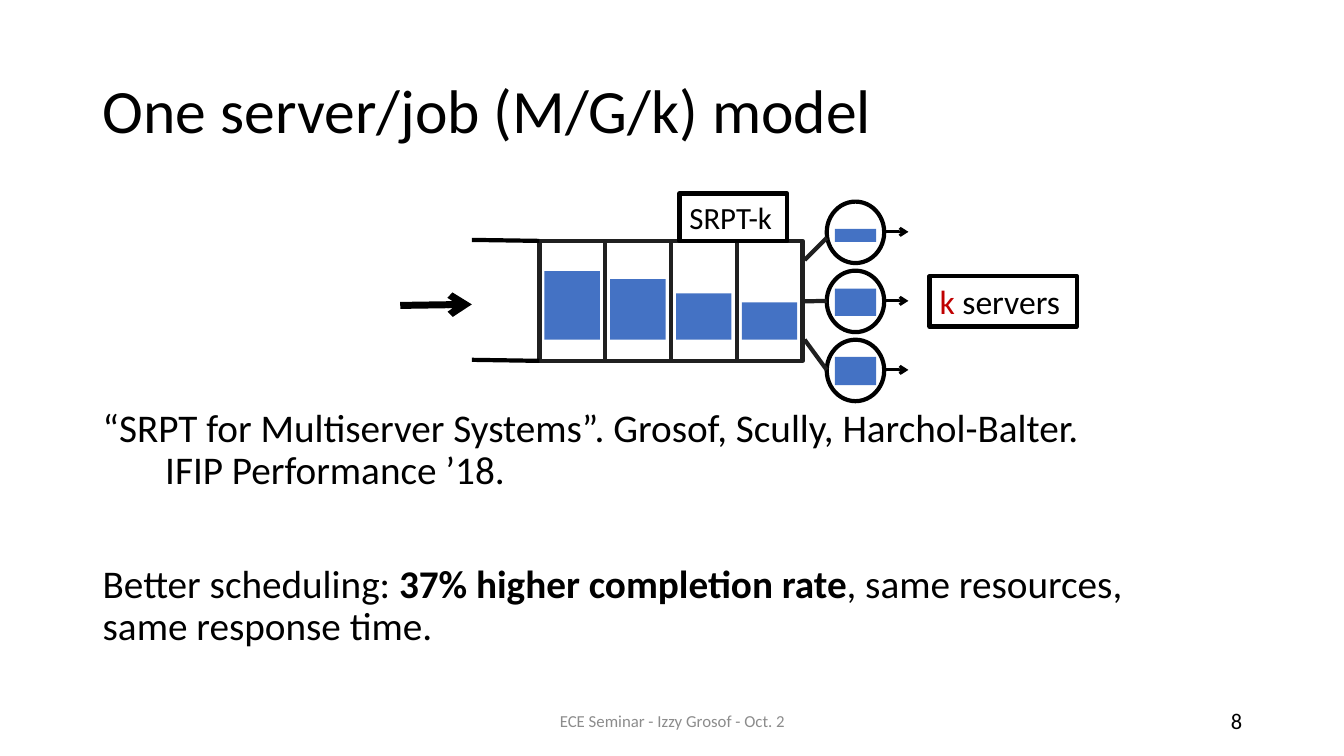
from lxml.etree import SubElement
from pptx import Presentation
from pptx.dml.color import RGBColor
from pptx.enum.shapes import MSO_CONNECTOR, MSO_SHAPE
from pptx.enum.text import MSO_ANCHOR, MSO_AUTO_SIZE, PP_ALIGN
from pptx.oxml.ns import qn
from pptx.util import Inches, Pt

COLOURS = {
    "black": "000000", "white": "FFFFFF", "outline": "202020",
    "job": "4472C4", "grey": "8C8C8C", "red": "C00000",
}
QUEUE = {"left": 5.35, "top": 2.39, "width": 2.61, "height": 1.19}
QUEUED_JOBS = [0.68, 0.6, 0.46, 0.37]
JOB_BOTTOM = 3.37
SERVER_LEFT, SERVER_TOP, SERVER_PITCH = 8.2, 2, 0.685
SERVERS = [(0.27, 0.13, 2.58), (0.18, 0.27, 2.99), (0.17, 0.28, 3.37)]


def colour(name):
    """Return the named colour."""
    return RGBColor.from_string(COLOURS[name])


def write_paragraph(paragraph, runs, size, formats=None):
    """Fill a paragraph with (text, colour, bold) runs."""
    for name, value in (formats or {}).items():
        setattr(paragraph, name, value)
    for text, colour_name, bold in runs:
        run = paragraph.add_run()
        run.text = text
        values = {"name": "Calibri", "size": Pt(size), "bold": bold}
        for name, value in values.items():
            setattr(run.font, name, value)
        run.font.color.rgb = colour(colour_name)


def set_frame(frame, anchor):
    """Wrap a text frame, fix its size and set its anchor."""
    values = {"word_wrap": True, "auto_size": MSO_AUTO_SIZE.NONE, "vertical_anchor": anchor}
    for name, value in values.items():
        setattr(frame, name, value)


def add_title(slide, text):
    """Place and format the title placeholder."""
    title = slide.shapes.title
    place = {"left": 0.92, "top": 0.4, "width": 11.5, "height": 1.45}
    for name, value in place.items():
        setattr(title, name, Inches(value))
    set_frame(title.text_frame, MSO_ANCHOR.MIDDLE)
    formats = {"alignment": PP_ALIGN.LEFT, "line_spacing": 0.9}
    write_paragraph(title.text_frame.paragraphs[0], [(text, "black", False)], 44, formats)


def add_text(slide, box, anchor=MSO_ANCHOR.TOP):
    """Add a wrapping text box and return its frame."""
    frame = slide.shapes.add_textbox(*map(Inches, box)).text_frame
    set_frame(frame, anchor)
    return frame


def add_body(slide):
    """Add the citation and the result below the diagram."""
    frame = add_text(slide, (0.92, 4, 10.52, 2.63))
    citation = frame.paragraphs[0]
    indents = {"marL": Inches(0.62), "indent": -Inches(0.62)}
    for name, value in indents.items():
        citation._p.get_or_add_pPr().set(name, str(value))
    write_paragraph(citation, [
        ("“SRPT for Multiserver Systems”. Grosof, Scully, Harchol-Balter.", "black", False),
    ], 28, {"line_spacing": 0.9})
    citation.add_line_break()
    write_paragraph(citation, [("IFIP Performance ’18.", "black", False)], 28)
    write_paragraph(frame.add_paragraph(), [
        ("Better scheduling: ", "black", False),
        ("37% higher completion rate", "black", True),
        (", same resources, same response time.", "black", False),
    ], 28, {"line_spacing": 0.9, "space_before": Pt(51)})


def add_footer(slide, box, text, size, colour_name, alignment):
    """Add one footer text."""
    frame = add_text(slide, box, MSO_ANCHOR.MIDDLE)
    write_paragraph(frame.paragraphs[0], [(text, colour_name, False)], size,
                    {"alignment": alignment})


def add_block(slide, kind, box, fill=None, line=None):
    """Add a preset shape with an optional fill and outline."""
    shape = slide.shapes.add_shape(kind, *map(Inches, box))
    shape.shadow.inherit = False
    if fill:
        shape.fill.solid()
        shape.fill.fore_color.rgb = colour(fill)
    else:
        shape.fill.background()
    if line:
        shape.line.color.rgb = colour(line)
        shape.line.width = Pt(3)
    else:
        shape.line.fill.background()
    return shape


def add_line(slide, start, end, line="black", width=3, arrow=False):
    """Add a straight line, with an arrowhead at its end if asked."""
    connector = slide.shapes.add_connector(
        MSO_CONNECTOR.STRAIGHT, *map(Inches, (*start, *end)))
    connector.line.color.rgb = colour(line)
    connector.line.width = Pt(width)
    if arrow:
        SubElement(connector.line._get_or_add_ln(), qn("a:tailEnd"), type="arrow")
    SubElement(connector._element.spPr, qn("a:effectLst"))


def add_label(slide, box, runs, size, fill=None):
    """Add an outlined label."""
    shape = add_block(slide, MSO_SHAPE.RECTANGLE, box, fill, "black")
    set_frame(shape.text_frame, MSO_ANCHOR.TOP)
    write_paragraph(shape.text_frame.paragraphs[0], runs, size, {"alignment": PP_ALIGN.LEFT})


def add_queue(slide):
    """Draw the arriving jobs and the queue cells."""
    pitch = QUEUE["width"] / len(QUEUED_JOBS)
    for index, height in enumerate(QUEUED_JOBS):
        left = QUEUE["left"] + index * pitch
        cell = (left, QUEUE["top"], pitch, QUEUE["height"])
        add_block(slide, MSO_SHAPE.RECTANGLE, cell, "white", "outline")
        job = (left + 0.05, JOB_BOTTOM - height, 0.55, height)
        add_block(slide, MSO_SHAPE.RECTANGLE, job, "job")
    for y in (QUEUE["top"], QUEUE["top"] + QUEUE["height"]):
        add_line(slide, (4.68, y - 0.01), (QUEUE["left"], y))
    add_line(slide, (3.97, 3.03), (4.68, 3.02), width=5, arrow=True)


def add_servers(slide):
    """Draw each server with its job, its link to the queue and its exit."""
    for index, (job_offset, job_height, link_y) in enumerate(SERVERS):
        top = SERVER_TOP + index * SERVER_PITCH
        middle = top + 0.3
        link_end = 2.36 if index == 0 else middle
        add_block(slide, MSO_SHAPE.OVAL, (SERVER_LEFT, top, 0.57, 0.61), "white", "black")
        job = (SERVER_LEFT + 0.08, top + job_offset, 0.41, job_height)
        add_block(slide, MSO_SHAPE.RECTANGLE, job, "job")
        add_line(slide, (7.98, link_y), (SERVER_LEFT, link_end), "outline")
        add_line(slide, (8.77, middle), (9.01, middle), width=2, arrow=True)


def main():
    """Build the slide and save it."""
    presentation = Presentation()
    presentation.slide_width = Inches(13.33)
    presentation.slide_height = Inches(7.5)
    slide = presentation.slides.add_slide(presentation.slide_layouts.get_by_name("Title Only"))
    add_title(slide, "One server/job (M/G/k) model")
    add_body(slide)
    add_footer(slide, (9.42, 6.95, 3, 0.4), "8", 16, "black", PP_ALIGN.RIGHT)
    add_footer(slide, (4.42, 6.95, 4.5, 0.4), "ECE Seminar - Izzy Grosof - Oct. 2",
               12, "grey", PP_ALIGN.CENTER)
    add_queue(slide)
    add_servers(slide)
    add_label(slide, (6.74, 1.92, 1.07, 0.47), [("SRPT-k", "black", False)], 22)
    add_label(slide, (9.22, 2.74, 1.46, 0.5),
              [("k ", "red", False), ("servers", "black", False)], 24, "white")
    presentation.save("out.pptx")


if __name__ == "__main__":
    main()
